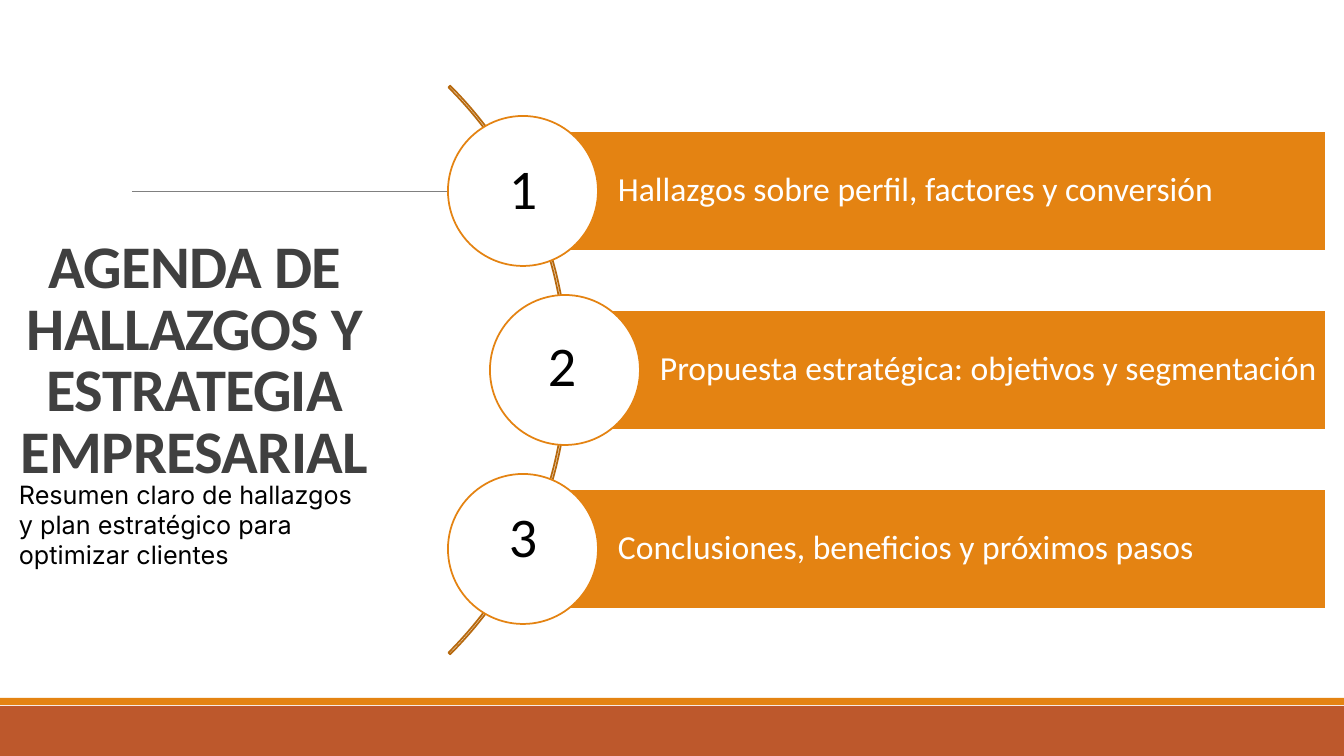
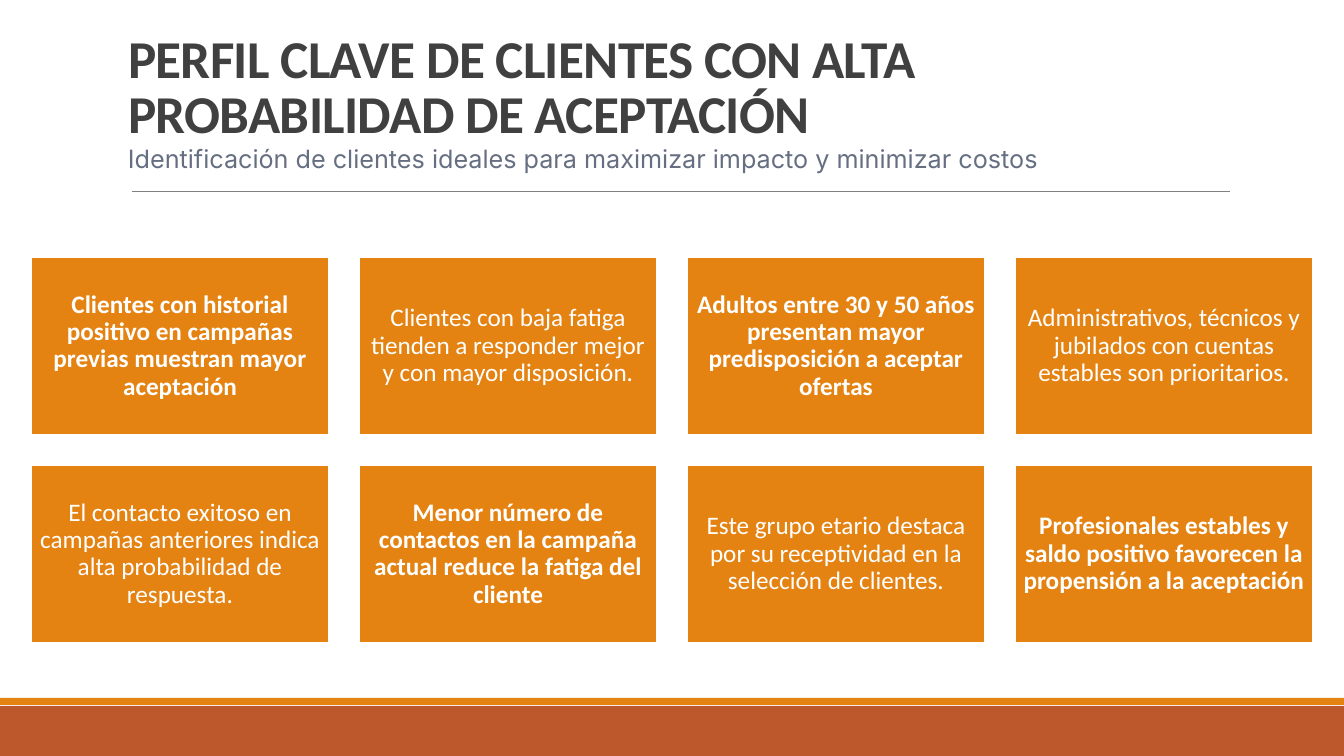
from dataclasses import dataclass
from math import sqrt

from lxml import etree
from pptx import Presentation
from pptx import util as u
from pptx.dml.color import RGBColor
from pptx.enum import shapes, text
from pptx.oxml.ns import qn

WIDTH, HEIGHT = 1344, 756
EMU_PER_PX = 12192000 / WIDTH
TITLE_ONLY = 5


@dataclass(frozen=True)
class Theme:
    orange: str = "E48312"
    rust: str = "BD582C"
    bronze: str = "B7690E"
    rule: str = "808080"
    heading: str = "404040"
    muted: str = "666F82"
    black: str = "000000"
    white: str = "FFFFFF"
    body_font: str = "Calibri"
    subtitle_font: str = "Inter"
    outline: float = 1.25
    agenda_title_size: float = 43.2
    title_size: float = 38
    number_size: float = 40
    agenda_size: float = 24
    text_size: float = 18


THEME = Theme()
SHAPE = shapes.MSO_SHAPE
ALIGN = text.PP_ALIGN
ANCHOR = text.MSO_ANCHOR

# Label, then left and top of its number
AGENDA = [
    ("Hallazgos sobre perfil, factores y conversión", 494, 149),
    ("Propuesta estratégica: objetivos y segmentación", 533, 326),
    ("Conclusiones, beneficios y próximos pasos", 494, 497),
]

PROFILE = [
    [
        "Clientes con historial positivo en campañas previas muestran mayor aceptación",
        "Clientes con baja fatiga tienden a responder mejor y con mayor disposición.",
        "Adultos entre 30 y 50 años presentan mayor predisposición a aceptar ofertas",
        "Administrativos, técnicos y jubilados con cuentas estables son prioritarios.",
    ],
    [
        "El contacto exitoso en campañas anteriores indica alta probabilidad de respuesta.",
        "Menor número de contactos en la campaña actual reduce la fatiga del cliente",
        "Este grupo etario destaca por su receptividad en la selección de clientes.",
        "Profesionales estables y saldo positivo favorecen la propensión a la aceptación",
    ],
]


def px(length):
    return u.Emu(round(length * EMU_PER_PX))


def box(left, top, width, height):
    return [px(length) for length in (left, top, width, height)]


def rgb(color):
    return RGBColor.from_string(color)


def write(frame, words, size, color, font=THEME.body_font, bold=False,
          align=ALIGN.LEFT, anchor=ANCHOR.TOP, spacing=1.0):
    """Fill a text frame with one formatted paragraph and return it."""
    frame.word_wrap = True
    frame.vertical_anchor = anchor
    paragraph = frame.paragraphs[0]
    paragraph.text = words
    paragraph.alignment = align
    paragraph.line_spacing = spacing
    style = paragraph.font
    style.name, style.size, style.bold = font, u.Pt(size), bold
    style.color.rgb = rgb(color)
    return paragraph


def add_figure(slide, kind, area, fill=None, line=None):
    figure = slide.shapes.add_shape(kind, *box(*area))
    figure.shadow.inherit = False
    if fill:
        figure.fill.solid()
        figure.fill.fore_color.rgb = rgb(fill)
    else:
        figure.fill.background()
    if line:
        figure.line.color.rgb = rgb(line)
        figure.line.width = u.Pt(THEME.outline)
    else:
        figure.line.fill.background()
    return figure


def add_panel(slide, area, words, size, left_inset=7, **style):
    """Draw an orange box with its text inside."""
    panel = add_figure(slide, SHAPE.RECTANGLE, area, THEME.orange, THEME.white)
    frame = panel.text_frame
    frame.margin_left = px(left_inset)
    frame.margin_top = frame.margin_right = frame.margin_bottom = px(7)
    write(frame, words, size, THEME.white, anchor=ANCHOR.MIDDLE, spacing=0.9, **style)


def add_label(slide, area, words, size, color, **style):
    label = slide.shapes.add_textbox(*box(*area))
    write(label.text_frame, words, size, color, **style)


def set_title(slide, area, words, size, align):
    title = slide.shapes.title
    title.left, title.top, title.width, title.height = box(*area)
    title.text_frame.auto_size = text.MSO_AUTO_SIZE.NONE
    paragraph = write(title.text_frame, words, size, THEME.heading, bold=True,
                      align=align, anchor=ANCHOR.BOTTOM, spacing=0.85)
    paragraph._p.pPr.find(qn("a:defRPr")).set("spc", "-50")


def new_slide(deck):
    """Add a slide with the footer bands and the rule under the title."""
    slide = deck.slides.add_slide(deck.slide_layouts[TITLE_ONLY])
    add_figure(slide, SHAPE.RECTANGLE, (0, 706, WIDTH, 50), THEME.rust)
    add_figure(slide, SHAPE.RECTANGLE, (0, 698, WIDTH, 7), THEME.orange)
    rule = slide.shapes.add_connector(
        shapes.MSO_CONNECTOR.STRAIGHT, px(132), px(191), px(1230), px(191))
    rule.line.color.rgb = rgb(THEME.rule)
    rule.line.width = u.Pt(0.5)
    etree.SubElement(rule._element.spPr, qn("a:effectLst"))
    return slide


def add_agenda(slide):
    center_x, center_y, radius = 166, 370, 402
    stop_radius, pitch = 399, 179
    bar_height, bar_right, circle_size = 120, 1326, 150

    arc = add_figure(slide, SHAPE.BLOCK_ARC,
                     (center_x - radius, center_y - radius, 2 * radius, 2 * radius),
                     line=THEME.bronze)
    for position, value in enumerate((189, 27, 0.003)):
        arc.adjustments[position] = value

    for index, (words, number_left, number_top) in enumerate(AGENDA):
        offset = (index - 1) * pitch
        stop_x = center_x + round(sqrt(stop_radius ** 2 - offset ** 2))
        stop_y = center_y + offset
        add_panel(slide,
                  (stop_x, stop_y - bar_height // 2, bar_right - stop_x, bar_height),
                  words, THEME.agenda_size, left_inset=95)
        add_figure(slide, SHAPE.OVAL,
                   (stop_x - circle_size // 2, stop_y - circle_size // 2,
                    circle_size, circle_size),
                   THEME.white, THEME.orange)
        add_label(slide, (number_left, number_top, 58, 78), str(index + 1),
                  THEME.number_size, THEME.black, align=ALIGN.CENTER)


def add_cards(slide):
    left, top, width, height, gap = 31, 257, 298, 178, 30
    for row, cards in enumerate(PROFILE):
        for column, words in enumerate(cards):
            area = (left + column * (width + gap), top + row * (height + gap),
                    width, height)
            add_panel(slide, area, words, THEME.text_size, align=ALIGN.CENTER,
                      bold=(row + column) % 2 == 0)


def agenda_slide(deck):
    slide = new_slide(deck)
    set_title(slide, (9, 217, 371, 274),
              "AGENDA DE HALLAZGOS Y ESTRATEGIA EMPRESARIAL",
              THEME.agenda_title_size, ALIGN.CENTER)
    add_label(slide, (9, 474, 371, 102),
              "Resumen claro de hallazgos y plan estratégico para optimizar clientes",
              THEME.text_size, THEME.black, font=THEME.subtitle_font)
    add_agenda(slide)


def profile_slide(deck):
    slide = new_slide(deck)
    set_title(slide, (118, 11, 1109, 138),
              "PERFIL CLAVE DE CLIENTES CON ALTA PROBABILIDAD DE ACEPTACIÓN",
              THEME.title_size, ALIGN.LEFT)
    add_label(slide, (118, 138, 984, 40),
              "Identificación de clientes ideales para maximizar impacto y minimizar costos",
              THEME.text_size, THEME.muted, font=THEME.subtitle_font)
    add_cards(slide)


def main():
    deck = Presentation()
    deck.slide_width, deck.slide_height = px(WIDTH), px(HEIGHT)
    agenda_slide(deck)
    profile_slide(deck)
    deck.save("out.pptx")


if __name__ == "__main__":
    main()
